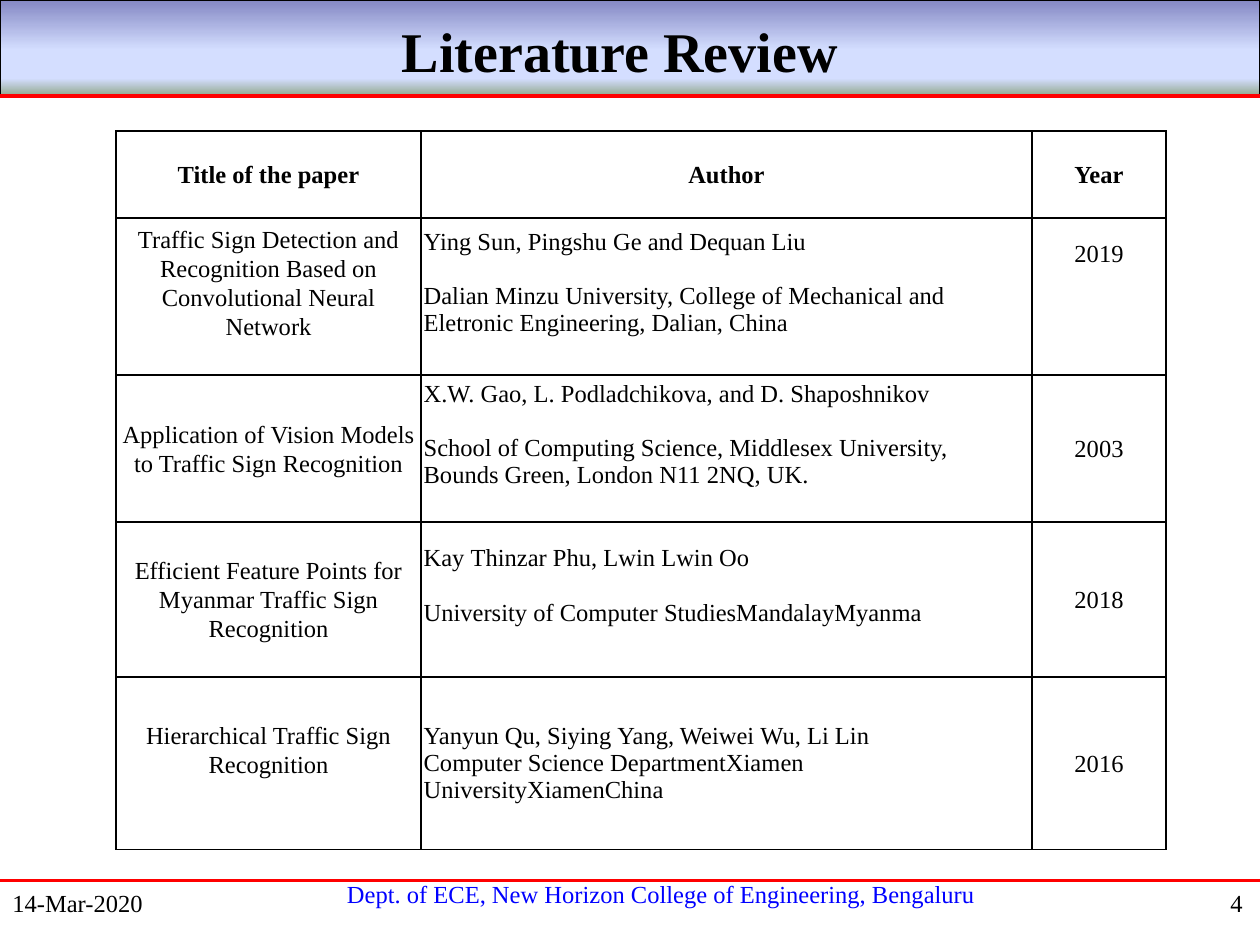
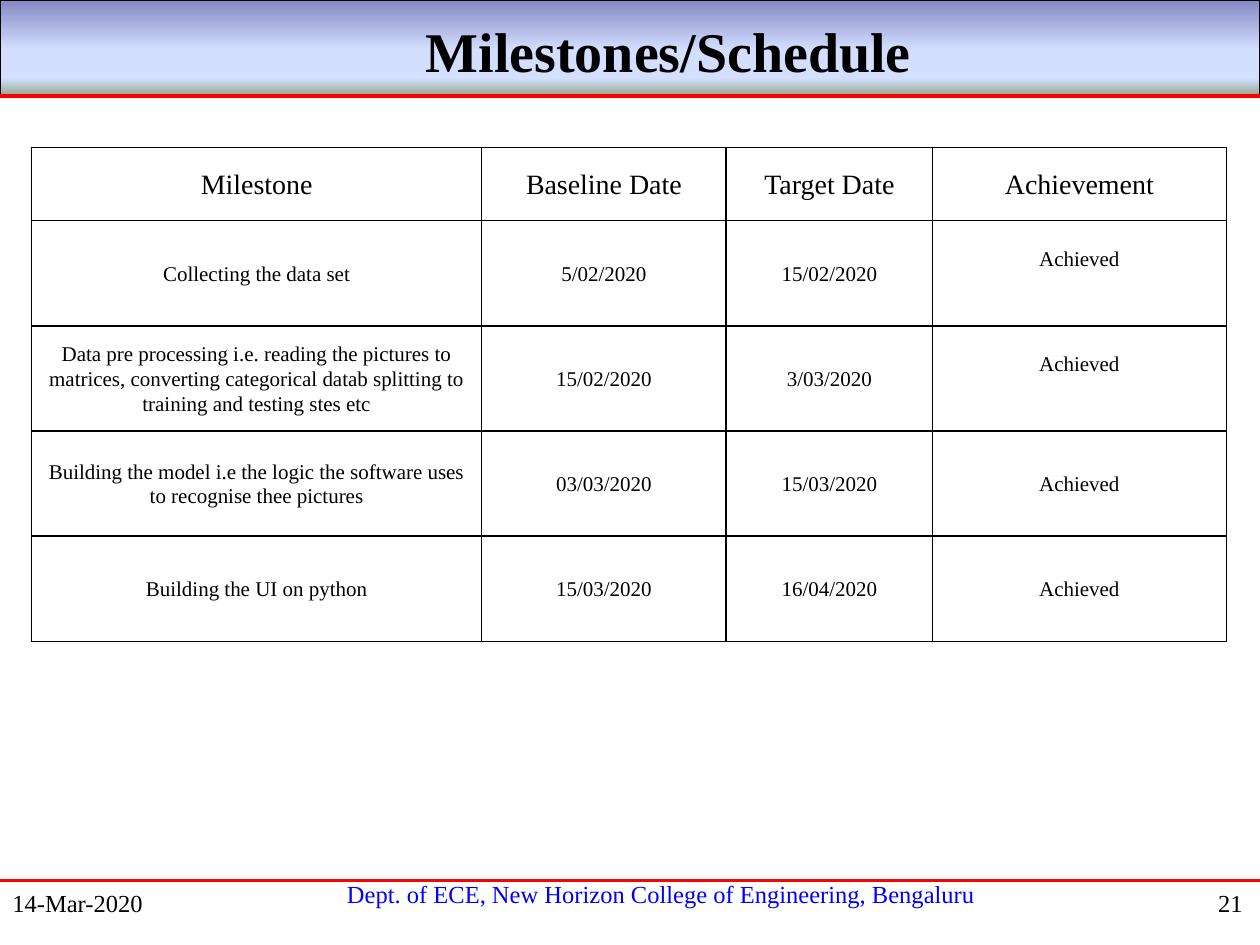
"""Build a literature review slide and a milestone slide in one shared style."""
from lxml import etree
from pptx import Presentation
from pptx.dml.color import RGBColor
from pptx.enum.shapes import MSO_CONNECTOR, MSO_SHAPE
from pptx.enum.text import MSO_ANCHOR, MSO_AUTO_SIZE, PP_ALIGN
from pptx.oxml.ns import qn
from pptx.util import Cm, Pt

LEFT, CENTER, RIGHT = PP_ALIGN.LEFT, PP_ALIGN.CENTER, PP_ALIGN.RIGHT
TOP, MIDDLE = MSO_ANCHOR.TOP, MSO_ANCHOR.MIDDLE
RECTANGLE, STRAIGHT = MSO_SHAPE.RECTANGLE, MSO_CONNECTOR.STRAIGHT
FIXED_SIZE = MSO_AUTO_SIZE.NONE

BLACK = RGBColor(0x00, 0x00, 0x00)
WHITE = RGBColor(0xFF, 0xFF, 0xFF)
RED = RGBColor(0xFF, 0x00, 0x00)
BLUE = RGBColor(0x00, 0x00, 0xFF)
PERIWINKLE = RGBColor(0x84, 0x88, 0xC4)
PALE_BLUE = RGBColor(0xD4, 0xDE, 0xFF)
SAGE = RGBColor(0x96, 0xAB, 0x94)
BAND_STOPS = [(0, PERIWINKLE), (53, PALE_BLUE), (83, PALE_BLUE), (100, SAGE)]

FONT = "Times New Roman"
WIDTH, HEIGHT = 25.4, 19.05
FOOTER = "Dept. of ECE, New Horizon College of Engineering, Bengaluru"
DATE = "14-Mar-2020"


def write(frame, text, size=14, bold=False, color=BLACK, align=LEFT,
          anchor=TOP, line=None, before=0, after=0, gap=0):
    """Fill a text frame with one paragraph per line, gap points apart."""
    frame.word_wrap = True
    frame.vertical_anchor = anchor
    for index, content in enumerate(text.split("\n")):
        para = frame.add_paragraph() if index else frame.paragraphs[0]
        para.alignment = align
        para.line_spacing = line
        para.space_before = Pt(gap if index else before)
        para.space_after = Pt(after)
        span = para.add_run()
        span.text = content
        span.font.name = FONT
        span.font.size = Pt(size)
        span.font.bold = bold
        span.font.color.rgb = color


def add_color(parent, color):
    """Append a plain colour to an XML element."""
    etree.SubElement(parent, qn("a:srgbClr"), val=str(color))


class Deck:
    """Hold the shared style and the current slide."""

    def __init__(self):
        """Start a 4:3 deck whose title-only layout carries the shared parts."""
        self.file = Presentation()
        self.file.slide_width = Cm(WIDTH)
        self.file.slide_height = Cm(HEIGHT)
        self.layout = self.file.slide_layouts[5]
        self.slide = None

    def page(self, title, center, number):
        """Add a slide with its title centred on the given position."""
        first = self.slide is None
        self.slide = self.file.slides.add_slide(self.layout)
        if first:
            self.share([self.band(), self.rule(1.93, 2.25), self.footer(),
                        self.rule(17.75, 1.5)])
        box = self.slide.shapes.title
        width = 2 * min(center, WIDTH - center)
        box.left, box.top = Cm(center - width / 2), Cm(0.2)
        box.width, box.height = Cm(width), Cm(1.63)
        box.text_frame.auto_size = FIXED_SIZE
        write(box.text_frame, title, size=32, bold=True, align=CENTER,
              anchor=MIDDLE)
        self.label(DATE, 0, 17.78, 5.28)
        self.label(number, 20.02, 17.78, 5.28, align=RIGHT)

    def share(self, shapes):
        """Move shapes from the slide to its layout."""
        for shape in shapes:
            self.layout.shapes.element.append(shape.element)

    def band(self):
        """Draw the gradient band behind the title."""
        box = self.slide.shapes.add_shape(RECTANGLE, 0, 0, Cm(WIDTH), Cm(1.91))
        box.shadow.inherit = False
        box.line.color.rgb = BLACK
        box.line.width = Pt(0.75)
        box.fill.gradient()
        box.fill.gradient_angle = 270
        stops = box.element.spPr.find(".//" + qn("a:gsLst"))
        for stop in list(stops):
            stops.remove(stop)
        for percent, color in BAND_STOPS:
            add_color(etree.SubElement(stops, qn("a:gs"),
                                       pos=str(percent * 1000)), color)
        return box

    def rule(self, top, weight):
        """Draw a red line across the slide."""
        line = self.slide.shapes.add_connector(STRAIGHT, 0, Cm(top),
                                               Cm(WIDTH), Cm(top))
        line.line.color.rgb = RED
        line.line.width = Pt(weight)
        etree.SubElement(line.element.spPr, qn("a:effectLst"))
        return line

    def footer(self):
        """Write the department name under the lower rule."""
        return self.label(FOOTER, 4.34, 17.6, 17.98, color=BLUE, align=CENTER)

    def label(self, text, left, top, width, **style):
        """Add a one-line text box."""
        box = self.slide.shapes.add_textbox(Cm(left), Cm(top), Cm(width), Cm(0.85))
        write(box.text_frame, text, **style)
        return box

    def table(self, left, top, widths, heights, rows, side, lifts, style_of):
        """Add a bordered table; lifts are extra bottom margins by cell."""
        table = self.slide.shapes.add_table(
            len(heights), len(widths), Cm(left), Cm(top),
            Cm(sum(widths)), Cm(sum(heights))).table
        table.first_row = table.horz_banding = False
        for column, width in zip(table.columns, widths):
            column.width = Cm(width)
        for row, height in zip(table.rows, heights):
            row.height = Cm(height)
        for r, row in enumerate(rows):
            for c, text in enumerate(row):
                cell = table.cell(r, c)
                cell.margin_left = cell.margin_right = Cm(side)
                cell.margin_top = 0
                cell.margin_bottom = Cm(lifts.get((r, c), 0))
                cell.fill.solid()
                cell.fill.fore_color.rgb = WHITE
                self.border(cell)
                write(cell.text_frame, text, **style_of(r, c))
                cell.vertical_anchor = MIDDLE

    def border(self, cell):
        """Outline a cell in black on all four sides."""
        properties = cell._tc.get_or_add_tcPr()
        for index, edge in enumerate(("a:lnL", "a:lnR", "a:lnT", "a:lnB")):
            line = etree.Element(qn(edge), w=str(Pt(1)))
            add_color(etree.SubElement(line, qn("a:solidFill")), BLACK)
            properties.insert(index, line)


def paper_style(row, column):
    """Give the text format of a literature cell."""
    if row and column == 1:
        return {"gap": 0 if row == 4 else 15.5}
    return {"bold": row == 0, "align": CENTER, "line": 1.07}


def milestone_style(row, column):
    """Give the text format of a milestone cell."""
    return {"size": 12 if row else 16, "align": CENTER, "line": 1.07,
            "before": 3, "after": 3}


PAPERS = [
    ("Title of the paper", "Author", "Year"),
    ("Traffic Sign Detection and Recognition Based on Convolutional Neural Network",
     "Ying Sun, Pingshu Ge and Dequan Liu\nDalian Minzu University, College of "
     "Mechanical and Eletronic Engineering, Dalian, China", "2019"),
    ("Application of Vision Models to Traffic Sign Recognition",
     "X.W. Gao, L. Podladchikova, and D. Shaposhnikov\nSchool of Computing Science, "
     "Middlesex University, Bounds Green, London N11 2NQ, UK.", "2003"),
    ("Efficient Feature Points for Myanmar Traffic Sign Recognition",
     "Kay\u00a0Thinzar\u00a0Phu, Lwin\u00a0Lwin\u00a0Oo\n"
     "University of Computer StudiesMandalayMyanma", "2018"),
    ("Hierarchical Traffic Sign Recognition",
     "Yanyun\u00a0Qu, Siying\u00a0Yang, Weiwei\u00a0Wu, Li\u00a0Lin\n"
     "Computer Science DepartmentXiamen UniversityXiamenChina", "2016"),
]
PAPER_LIFTS = {(1, 0): 0.56, (1, 1): 0.56, (1, 2): 1.73, (2, 1): 0.56,
               (3, 1): 0.56, (4, 0): 0.56}

MILESTONES = [
    ("Milestone", "Baseline Date", "Target Date", "Achievement"),
    ("Collecting the data set", "5/02/2020", "15/02/2020", "Achieved"),
    ("Data pre processing i.e. reading the pictures to matrices, converting "
     "categorical datab splitting to training and testing stes etc",
     "15/02/2020", "3/03/2020", "Achieved"),
    ("Building the model i.e the logic the software uses to recognise thee pictures",
     "03/03/2020", "15/03/2020", "Achieved"),
    ("Building the UI on python", "15/03/2020", "16/04/2020", "Achieved"),
]
MILESTONE_LIFTS = {(1, 3): 0.6, (2, 3): 0.6}

deck = Deck()
deck.page("Literature Review", 12.5, "4")
deck.table(2.34, 2.64, [6.15, 12.31, 2.71], [1.75, 3.17, 2.96, 3.13, 3.47],
           PAPERS, 0.05, PAPER_LIFTS, paper_style)
deck.page("Milestones/Schedule", 13.48, "21")
deck.table(0.64, 2.97, [9.07, 4.93, 4.16, 5.92], [1.48] + [2.12] * 4,
           MILESTONES, 0.15, MILESTONE_LIFTS, milestone_style)
deck.file.save("out.pptx")
